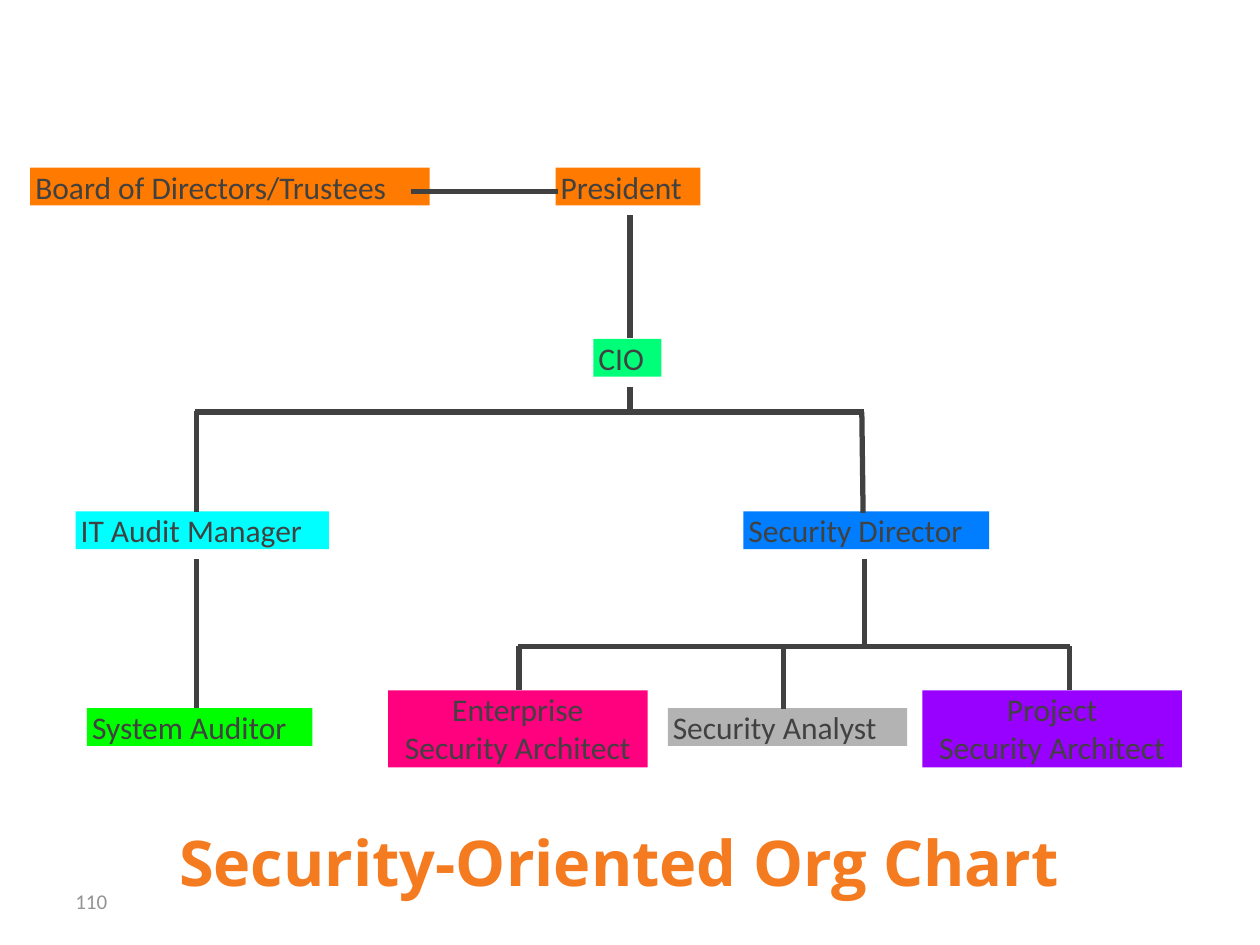
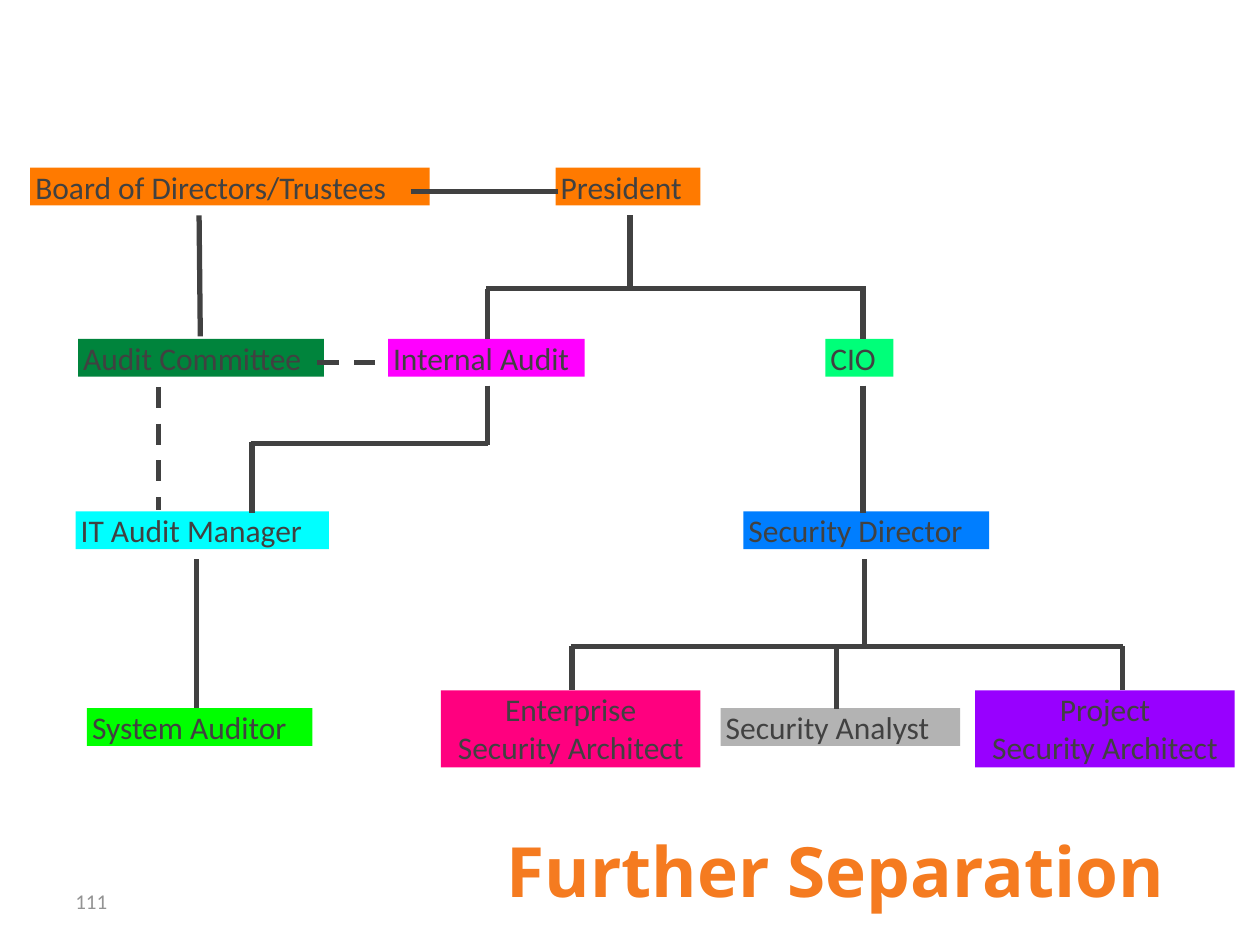
import pptx
import pptx.util
import pptx.dml.color
import pptx.enum.dml
import pptx.enum.shapes
import pptx.enum.text
import pptx.oxml.ns
import lxml.etree

Inches = pptx.util.Inches
Pt = pptx.util.Pt
ALIGN = pptx.enum.text.PP_ALIGN
INK, TITLE, MUTED = "414141", "F57B20", "939393"
ROW_H = 0.3


def color(hex_value):
    """Turn a hex string into a colour."""
    return pptx.dml.color.RGBColor.from_string(hex_value)


def set_text(tf, text, size, font, ink, align=ALIGN.LEFT, bold=False):
    """Write one styled paragraph into a wrapping text frame."""
    tf.word_wrap = True
    tf.text = text
    p = tf.paragraphs[0]
    p.alignment = align
    p.font.size, p.font.name, p.font.bold = Pt(size), font, bold
    p.font.color.rgb = color(ink)


def add_label(s, box, text, size, font, ink, align=ALIGN.LEFT, bold=False):
    """Add a vertically centred text box."""
    tf = s.shapes.add_textbox(*map(Inches, box)).text_frame
    set_text(tf, text, size, font, ink, align, bold)
    tf.vertical_anchor = pptx.enum.text.MSO_ANCHOR.MIDDLE
    return tf


def add_frame(s, title, box, size, align, number):
    """Add the slide title and page number."""
    add_label(s, (0.5, 6.95, 2.33, 0.4), number, 12, "Calibri", MUTED)
    tf = add_label(s, box, title, size, "Open Sans", TITLE, align, True)
    tf.margin_right = Inches(0.15)


def add_role(s, text, x, y, w, fill, h=ROW_H, align=ALIGN.LEFT):
    """Add one filled role box."""
    sp = s.shapes.add_shape(pptx.enum.shapes.MSO_SHAPE.RECTANGLE,
                            *map(Inches, (x, y, w, h)))
    sp.shadow.inherit = False
    sp.fill.solid()
    sp.fill.fore_color.rgb = color(fill)
    sp.line.fill.background()
    tf = sp.text_frame
    set_text(tf, text, 18, "Calibri", INK, align)
    tf.vertical_anchor = pptx.enum.text.MSO_ANCHOR.TOP
    tf.margin_left = tf.margin_right = Inches(0.04)
    tf.margin_top = tf.margin_bottom = 0


def add_line(s, x1, y1, x2, y2, dashed=False):
    """Add one reporting line, dashed if asked."""
    c = s.shapes.add_connector(pptx.enum.shapes.MSO_CONNECTOR.STRAIGHT,
                               *map(Inches, (x1, y1, x2, y2)))
    c.line.color.rgb = color(INK)
    c.line.width = Pt(3)
    if dashed:
        c.line.dash_style = pptx.enum.dml.MSO_LINE.DASH
    lxml.etree.SubElement(c._element.spPr, pptx.oxml.ns.qn("a:effectLst"))


def add_security_team(s, x, y):
    """Add the three security roles and the bus above them."""
    add_role(s, "Project\vSecurity Architect", x + 4.24, y, 2.06, "9800FF",
             0.61, ALIGN.CENTER)
    add_role(s, "Enterprise\vSecurity Architect", x, y, 2.06, "FF007F",
             0.61, ALIGN.CENTER)
    add_role(s, "Security Analyst", x + 2.22, y + 0.14, 1.9, "B3B3B3")
    bus = y - 0.35
    add_line(s, x + 1.03, bus, x + 5.41, bus)
    for dx, end in ((1.04, y), (3.14, y + 0.15), (5.41, y)):
        add_line(s, x + dx, bus, x + dx, end)


def add_common_roles(s, cio_x, team_x):
    """Add the roles and lines found in both charts."""
    add_role(s, "Board of Directors/Trustees", 0.24, 1.33, 3.17, "FF7A00")
    add_role(s, "President", 4.41, 1.33, 1.15, "FF7A00")
    add_role(s, "CIO", cio_x, 2.69, 0.54, "00FF79")
    add_role(s, "IT Audit Manager", 0.6, 4.06, 2.01, "00FFFF")
    add_role(s, "Security Director", 5.9, 4.06, 1.95, "007EFF")
    add_role(s, "System Auditor", 0.69, 5.62, 1.79, "00FF00")
    add_security_team(s, team_x, 5.48)
    add_line(s, 3.26, 1.52, 4.43, 1.52)
    add_line(s, 6.86, 4.44, 6.86, 5.13)
    add_line(s, 1.56, 4.44, 1.56, 5.62)


def build_security_chart(s):
    """Build the chart with audit under the CIO."""
    add_frame(s, "Security-Oriented Org Chart", (0, 6.44, 9.88, 0.79), 36,
              ALIGN.CENTER, "110")
    add_common_roles(s, 4.71, 3.08)
    for ends in ((5, 1.71, 5, 2.68), (5, 3.07, 5, 3.27),
                 (1.55, 3.27, 6.86, 3.27), (1.56, 3.26, 1.56, 4.06),
                 (6.84, 3.27, 6.85, 4.07)):
        add_line(s, *ends)


def build_separation_chart(s):
    """Build the chart with audit apart from the CIO."""
    add_frame(s, "Further Separation", (0.33, 6.51, 9.06, 0.79), 39.6,
              ALIGN.RIGHT, "111")
    add_common_roles(s, 6.55, 3.5)
    add_role(s, "Audit Committee", 0.62, 2.69, 1.95, "00843C")
    add_role(s, "Internal Audit", 3.08, 2.69, 1.56, "FF00FF")
    for ends in ((1.58, 1.71, 1.59, 2.67), (5, 1.71, 5, 2.31),
                 (3.86, 2.29, 6.87, 2.29), (3.87, 2.29, 3.87, 2.69),
                 (6.85, 2.29, 6.85, 2.69), (6.85, 3.06, 6.85, 4.07),
                 (3.87, 3.06, 3.87, 3.53), (1.99, 3.52, 3.87, 3.52),
                 (2, 3.51, 2, 4.07)):
        add_line(s, *ends)
    add_line(s, 2.52, 2.88, 3.07, 2.88, dashed=True)
    add_line(s, 1.26, 3.07, 1.26, 4.05, dashed=True)


prs = pptx.Presentation()
prs.slide_width, prs.slide_height = Inches(10), Inches(7.5)
for build in (build_security_chart, build_separation_chart):
    build(prs.slides.add_slide(prs.slide_layouts[6]))
prs.save("out.pptx")
